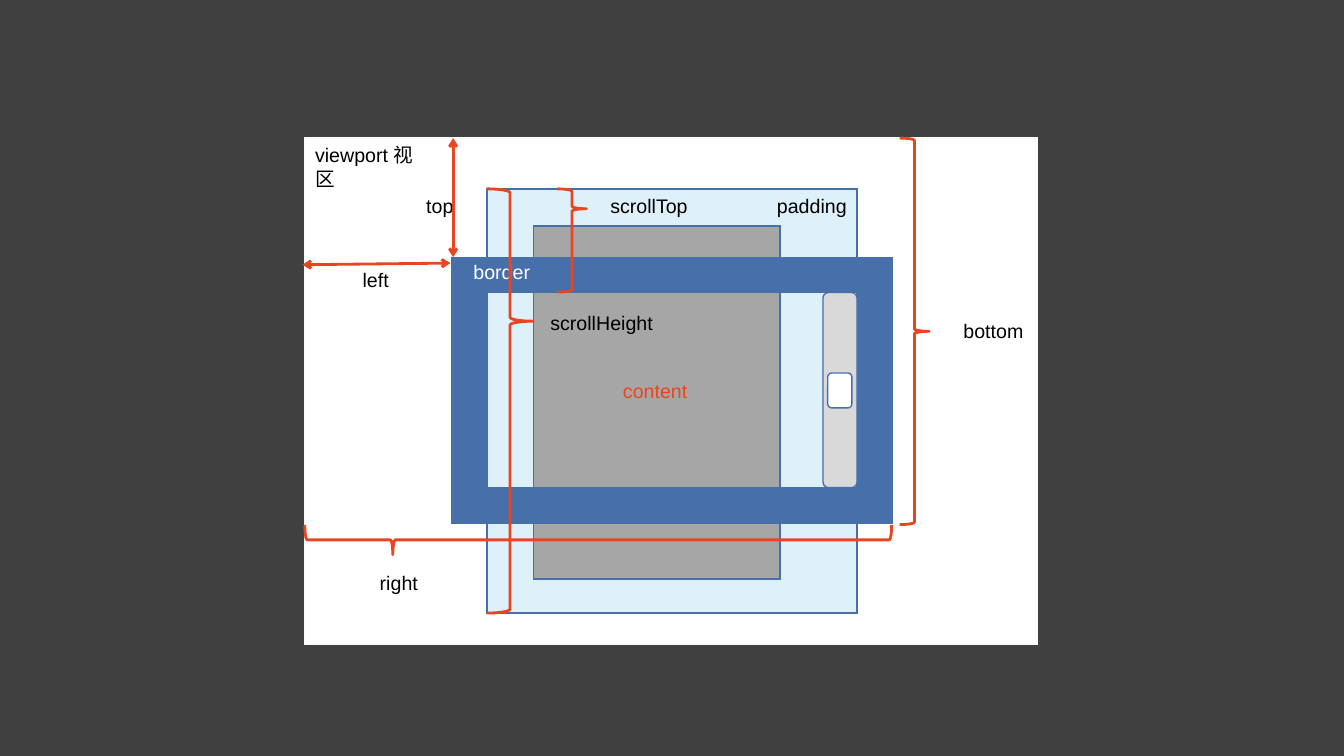
from lxml import etree
from pptx import Presentation
from pptx import util as u
from pptx.dml.color import RGBColor
from pptx.enum import shapes, text
from pptx.oxml.ns import qn

HUES = {
    "back": "404040", "white": "FFFFFF", "edge": "FAFAFA", "pale": "DEF0FA",
    "gray": "A6A6A6", "track": "D9D9D9", "blue": "476FAA", "red": "E94520",
    "black": "000000",
}
KIND = shapes.MSO_SHAPE


def hue(name):
    return RGBColor.from_string(HUES[name])


def draw(kind, spot, fill, line, width):
    shape = slide.shapes.add_shape(kind, *map(u.Cm, spot))
    shape.shadow.inherit = False
    if fill:
        shape.fill.solid()
        shape.fill.fore_color.rgb = hue(fill)
    else:
        shape.fill.background()
    shape.line.color.rgb = hue(line)
    shape.line.width = u.Pt(width)
    return shape


deck = Presentation()
deck.slide_width, deck.slide_height = u.Cm(33.87), u.Cm(19.05)
slide = deck.slides.add_slide(deck.slide_layouts[6])
slide.background.fill.solid()
slide.background.fill.fore_color.rgb = hue("back")

boxes = [
    (KIND.RECTANGLE, (7.68, 3.48, 18.47, 12.75), "white", "edge", 1),
    (KIND.RECTANGLE, (12.27, 4.76, 9.33, 10.69), "pale", "blue", 1),
    (KIND.RECTANGLE, (13.44, 5.7, 6.22, 8.89), "gray", "blue", 1),
    (KIND.RECTANGLE, (11.83, 6.93, 10.21, 5.81), None, "blue", 26),
    (KIND.ROUNDED_RECTANGLE, (20.74, 7.37, 0.86, 4.92), "track", "blue", 1),
    (KIND.ROUNDED_RECTANGLE, (20.86, 9.4, 0.61, 0.88), "white", "blue", 1),
]
for box in boxes:
    shape = draw(*box)
    if box[0] == KIND.RECTANGLE:
        etree.SubElement(shape.line._get_or_add_ln(), qn("a:miter"), lim="800000")

labels = [
    ("viewport 视区", 7.69, 3.48, 3.45, "black"),
    ("border", 11.68, 6.43, 2.1, "white"),
    ("padding", 19.33, 4.75, 2.4, "black"),
    ("content", 15.45, 9.42, 2.2, "red"),
    ("top", 10.49, 4.75, 1.25, "black"),
    ("left", 8.89, 6.63, 1.25, "black"),
    ("right", 9.32, 14.25, 1.55, "black"),
    ("bottom", 24.03, 7.92, 2.1, "black"),
    ("scrollTop", 15.13, 4.75, 2.55, "black"),
    ("scrollHeight", 13.62, 7.7, 3.15, "black"),
]
for words, left, top, width, ink in labels:
    frame = slide.shapes.add_textbox(
        u.Cm(left), u.Cm(top), u.Cm(width), u.Cm(0.86)).text_frame
    frame.word_wrap = words.startswith("viewport")
    frame.auto_size = text.MSO_AUTO_SIZE.SHAPE_TO_FIT_TEXT
    para = frame.paragraphs[0]
    para.text = words
    para.font.name = "Arial"
    para.font.size = u.Pt(14)
    para.font.color.rgb = hue(ink)

arrows = [(11.42, 3.48, 11.42, 6.48), (11.35, 6.63, 7.62, 6.67)]
for ends in arrows:
    arrow = slide.shapes.add_connector(
        shapes.MSO_CONNECTOR.STRAIGHT, *map(u.Cm, ends))
    arrow.line.color.rgb = hue("red")
    arrow.line.width = u.Pt(2)
    for end in ("a:headEnd", "a:tailEnd"):
        etree.SubElement(arrow.line._get_or_add_ln(), qn(end), type="arrow")
    etree.SubElement(arrow._element.spPr, qn("a:effectLst"))

braces = [
    ((22.67, 3.48, 0.75, 9.74), 0.5, 0),
    ((14.7, 6.21, 0.75, 14.79), 0.848, 90),
    ((14.05, 4.76, 0.73, 2.6), 0.193, 0),
    ((12.27, 4.76, 1.17, 10.69), 0.312, 0),
]
for spot, point, turn in braces:
    brace = draw(KIND.RIGHT_BRACE, spot, None, "red", 2)
    brace.adjustments[1] = round(point, 2) if turn else point
    brace.rotation = turn

deck.save("out.pptx")
